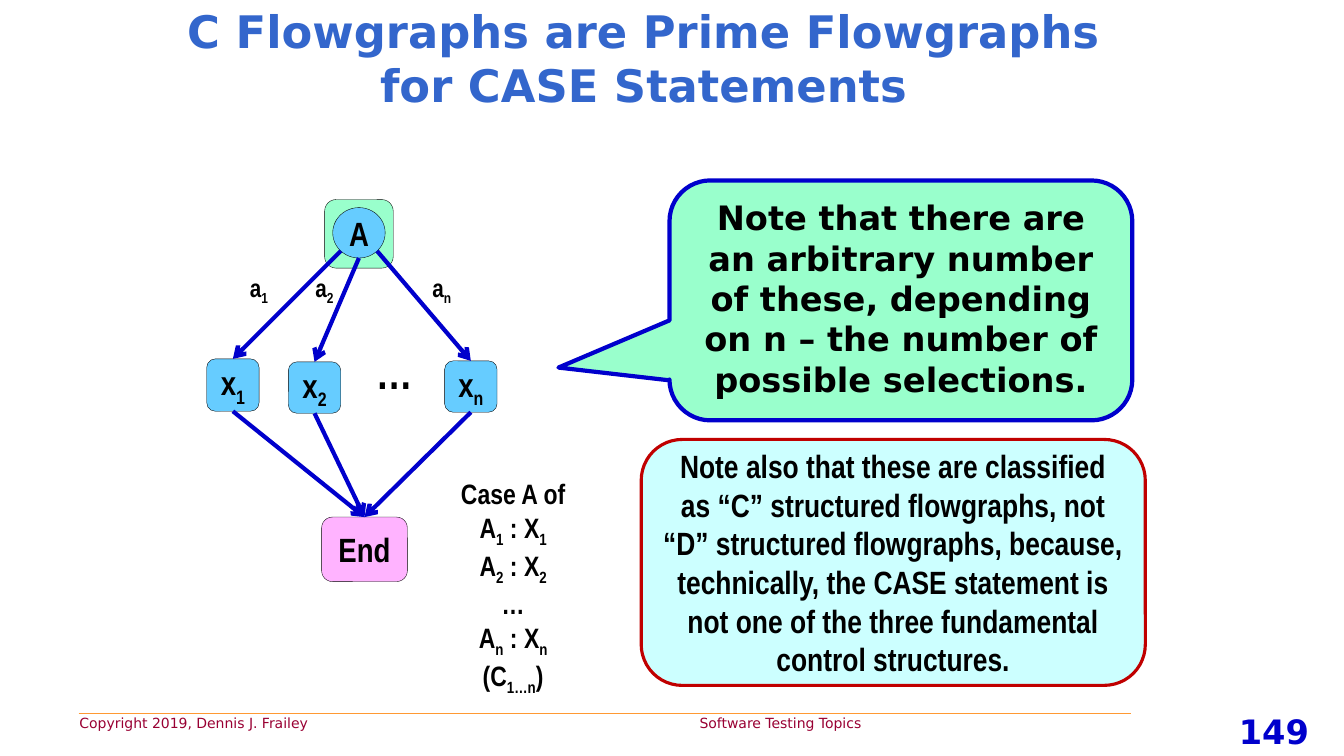
from lxml.etree import SubElement
from pptx import Presentation
from pptx.dml.color import RGBColor
from pptx.enum.shapes import MSO_CONNECTOR, MSO_SHAPE
from pptx.enum.text import MSO_ANCHOR, PP_ALIGN
from pptx.oxml.ns import qn
from pptx.util import Emu, Pt

PX = 9144  # EMU per px, 100 px to the inch
SANS, NARROW = "DejaVu Sans", "Arial Narrow"
BLACK, BLUE, SKY, MINT = "000000", "0000CC", "66CCFF", "99FFCC"

TITLE = "C Flowgraphs are Prime Flowgraphs for CASE Statements"
FOOTER = "Copyright 2019, Dennis J. Frailey\tSoftware Testing Topics"
PAGE_NUMBER = "149"
CALLOUT = ("Note that there are an arbitrary number of these, depending on n – "
           "the number of possible selections.")
REMARK = ("Note also that these are classified as “C” structured flowgraphs, not “D” "
          "structured flowgraphs, because, technically, the CASE statement is not one "
          "of the three fundamental control structures.")

# In the texts below, the part between underscores is a subscript.
CASE_LINES = ["Case A of", "A_1_ : X_1_", "A_2_ : X_2_", "…", "A_n_ : X_n_", "(C_1…n_)"]
# subscript, branch box, left of arrow label, start of arrow on the selector
BRANCHES = [
    ("1", (205, 356, 52, 52), 238, (338, 249)),
    ("2", (286, 359, 52, 51), 303, (356, 256)),
    ("n", (441, 358, 52, 51), 419, (374, 249)),
]
SELECTOR_FRAME = (322, 198, 68, 68)
SELECTOR = (330, 206, 52, 50)
END = (319, 513, 85, 64)

deck = Presentation()
deck.slide_width, deck.slide_height = Emu(1333 * PX), Emu(750 * PX)
page = deck.slides.add_slide(deck.slide_layouts[6])


def emu(lengths):
    return [Emu(length * PX) for length in lengths]


def color(value):
    return RGBColor.from_string(value)


def write(shape, lines, size, font=NARROW, ink=BLACK, bold=True,
          align=PP_ALIGN.CENTER, anchor=MSO_ANCHOR.TOP, wrap=True):
    """Fill a shape with lines whose odd underscore-separated parts are subscripts."""
    frame = shape.text_frame
    frame.word_wrap = wrap
    frame.vertical_anchor = anchor
    for index, line in enumerate(lines):
        para = frame.add_paragraph() if index else frame.paragraphs[0]
        para.alignment = align
        for part, text in enumerate(line.split("_")):
            if not text:
                continue
            span = para.add_run()
            span.text = text
            span.font.name, span.font.size, span.font.bold = font, Pt(size), bold
            span.font.color.rgb = color(ink)
            if part % 2:
                span.font._element.set("baseline", "-25000")


def add_text(place, lines, size, **style):
    box = page.shapes.add_textbox(*emu(place))
    write(box, lines, size, **style)
    return box


def add_box(kind, place, fill, line=BLACK, width=0.25):
    shape = page.shapes.add_shape(kind, *emu(place))
    shape.shadow.inherit = False
    shape.fill.solid()
    shape.fill.fore_color.rgb = color(fill)
    shape.line.color.rgb = color(line)
    shape.line.width = Pt(width)
    return shape


def add_node(kind, place, fill, label):
    node = add_box(kind, place, fill)
    frame = node.text_frame
    frame.margin_left = frame.margin_right = frame.margin_top = frame.margin_bottom = 0
    write(node, [label], 24, anchor=MSO_ANCHOR.MIDDLE, wrap=False)
    return node


def add_line(start, end, ink, width):
    line = page.shapes.add_connector(MSO_CONNECTOR.STRAIGHT, *emu(start + end))
    line.line.color.rgb = color(ink)
    line.line.width = Pt(width)
    SubElement(line._element.spPr, qn("a:effectLst"))
    return line


def add_arrow(start, target, source=None):
    """Arrow to the top of target, from a point or from the bottom of source."""
    arrow = add_line(start, start, BLUE, 3)
    if source is not None:
        arrow.begin_connect(source, 2)
    arrow.end_connect(target, 0)
    SubElement(arrow.line._get_or_add_ln(), qn("a:tailEnd"), type="arrow")


# Frame of the page
add_line((78, 708), (1122, 708), "FF9933", 0.75)
footer = add_text((69, 704, 1064, 27), [FOOTER], 10, font=SANS, ink="990033",
                  bold=False, align=PP_ALIGN.LEFT)
tabs = SubElement(footer.text_frame.paragraphs[0]._p.get_or_add_pPr(), qn("a:tabLst"))
SubElement(tabs, qn("a:tab"), pos=str(615 * PX), algn="l")
add_text((1193, 700, 141, 50), [PAGE_NUMBER], 24, font=SANS, ink=BLUE)
add_text((135, 13, 1007, 88), [TITLE], 32, font=SANS, ink="3366CC",
         anchor=MSO_ANCHOR.MIDDLE)

# Flowgraph
add_box(MSO_SHAPE.ROUNDED_RECTANGLE, SELECTOR_FRAME, MINT)
add_node(MSO_SHAPE.OVAL, SELECTOR, SKY, "A")
end_node = add_node(MSO_SHAPE.ROUNDED_RECTANGLE, END, "FFB3FF", "End")
for subscript, place, label_left, start in BRANCHES:
    branch = add_node(MSO_SHAPE.ROUNDED_RECTANGLE, place, SKY, f"x_{subscript}_")
    add_arrow(start, branch)
    add_arrow(start, end_node, source=branch)
    add_text((label_left, 265, 45, 40), [f"a_{subscript}_"], 18, align=PP_ALIGN.LEFT)
add_text((363, 337, 45, 64), ["…"], 32, align=PP_ALIGN.LEFT)
add_text((442, 468, 134, 212), CASE_LINES, 20)

# Notes beside the flowgraph
callout = add_box(MSO_SHAPE.ROUNDED_RECTANGULAR_CALLOUT, (664, 179, 459, 238), MINT, BLUE, 3)
for index, value in enumerate((-0.74, 0.28, 0.17)):
    callout.adjustments[index] = value
write(callout, [CALLOUT], 24, font=SANS)
remark = add_box(MSO_SHAPE.ROUNDED_RECTANGLE, (636, 436, 500, 244), "CCFFFF", "C00000", 2.25)
write(remark, [REMARK], 23, anchor=MSO_ANCHOR.MIDDLE)

deck.save("out.pptx")
